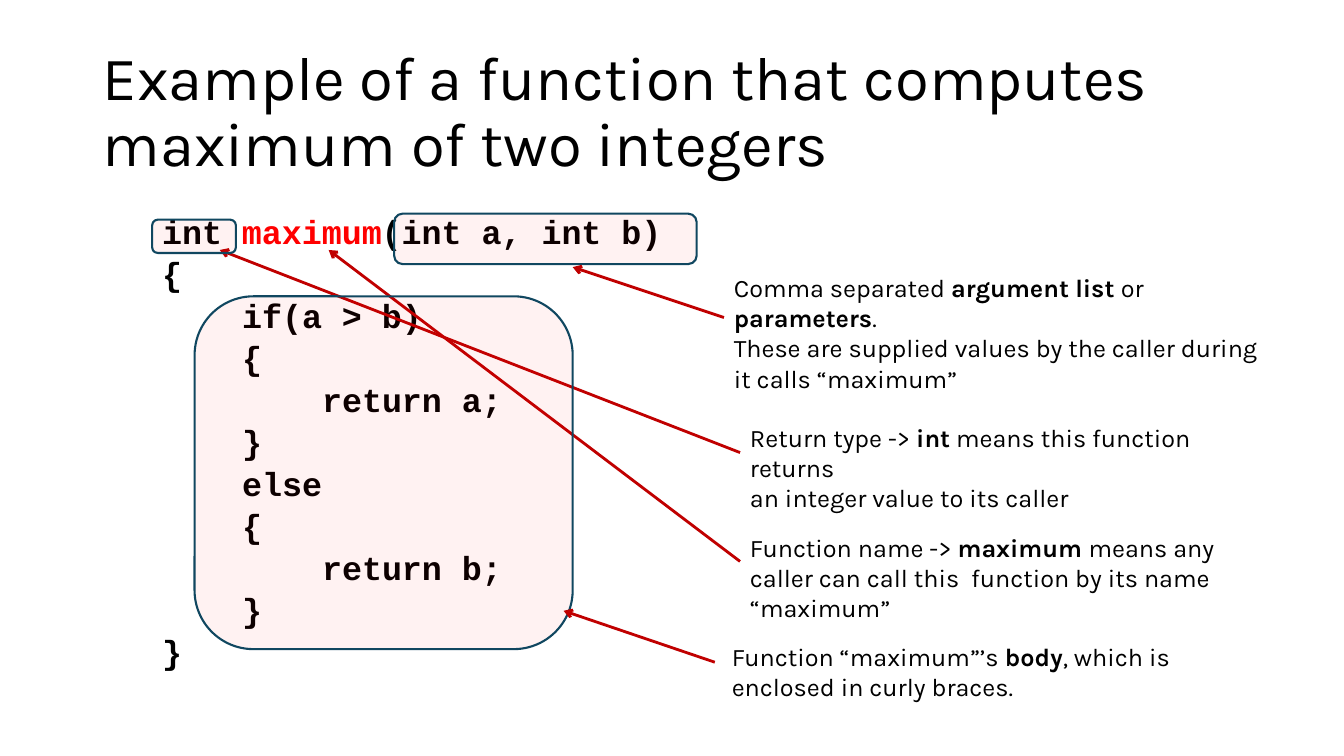
import pptx
import pptx.util
import pptx.dml.color
import pptx.enum.shapes
import pptx.enum.text
import pptx.oxml.ns
import lxml.etree

Inches = pptx.util.Inches
Pt = pptx.util.Pt
qn = pptx.oxml.ns.qn


def color(code):
    return pptx.dml.color.RGBColor.from_string(code)


class Board:
    """Draws text, code, frames and arrows on one slide in one style."""

    font, mono = "Karla", "Courier New"
    ink, name, edge, arrow = "000000", "FF0000", "104760", "C00000"
    code_size = 23.8
    step = 4 * 0.6 * code_size / 72

    def __init__(self, slide):
        self.slide = slide

    def frame(self, box):
        text = self.slide.shapes.add_textbox(*map(Inches, box)).text_frame
        text.word_wrap = True
        return text

    def lines(self, text, rows):
        for num, row in enumerate(rows):
            para = text.paragraphs[0] if num == 0 else text.add_paragraph()
            yield para, row

    def run(self, para, words, size, font, bold=False, ink=ink):
        run = para.add_run()
        run.text = words
        run.font.size = Pt(size)
        run.font.name = font
        run.font.bold = bold
        run.font.color.rgb = color(ink)

    def title(self, box, words):
        text = self.frame(box)
        text.vertical_anchor = pptx.enum.text.MSO_ANCHOR.MIDDLE
        para = text.paragraphs[0]
        para.line_spacing = 0.9
        self.run(para, words, 44, self.font)

    def code(self, box, rows):
        for para, (depth, runs) in self.lines(self.frame(box), rows):
            para.line_spacing = 0.7
            para.space_before = Pt(10)
            if depth:
                props = para._p.get_or_add_pPr()
                props.set("marL", str(Inches(depth * self.step)))
                props.set("indent", "0")
            for words, ink in runs:
                self.run(para, words, self.code_size, self.mono, True, ink)

    def note(self, box, rows):
        text = self.frame(box)
        text.auto_size = pptx.enum.text.MSO_AUTO_SIZE.SHAPE_TO_FIT_TEXT
        for para, runs in self.lines(text, rows):
            for words, bold in runs:
                self.run(para, words, 18, self.font, bold)

    def mark(self, box):
        kind = pptx.enum.shapes.MSO_SHAPE.ROUNDED_RECTANGLE
        shape = self.slide.shapes.add_shape(kind, *map(Inches, box))
        shape.shadow.inherit = False
        shape.fill.solid()
        shape.fill.fore_color.rgb = color(self.name)
        tint = shape._element.spPr.find(qn("a:solidFill"))[0]
        lxml.etree.SubElement(tint, qn("a:alpha")).set("val", "5000")
        shape.line.color.rgb = color(self.edge)
        shape.line.width = Pt(1.5)

    def point(self, start, end):
        kind = pptx.enum.shapes.MSO_CONNECTOR.STRAIGHT
        link = self.slide.shapes.add_connector(kind, *map(Inches, start + end))
        link.line.color.rgb = color(self.arrow)
        link.line.width = Pt(2)
        line = link.line._get_or_add_ln()
        lxml.etree.SubElement(line, qn("a:tailEnd")).set("type", "arrow")
        lxml.etree.SubElement(link._element.spPr, qn("a:effectLst"))


def main():
    deck = pptx.Presentation()
    deck.slide_width, deck.slide_height = Inches(13.33), Inches(7.5)
    board = Board(deck.slides.add_slide(deck.slide_layouts[6]))
    ink = board.ink

    board.title((0.92, 0.4, 11.5, 1.45),
                "Example of a function that computes maximum of two integers")

    head = [("int ", ink), ("maximum", board.name), ("(int a, int b)", ink)]
    body = [(0, "{"), (1, "if(a > b)"), (1, "{"), (2, "return a;"), (1, "}"),
            (1, "else"), (1, "{"), (2, "return b;"), (1, "}"), (0, "}")]
    board.code((1.51, 2.15, 9, 4.95),
               [(0, head)] + [(depth, [(words, ink)]) for depth, words in body])

    board.note((7.34, 4.14, 5.33, 0.71), [
        [("Return type -> ", False), ("int", True),
         (" means this function returns", False)],
        [("an integer value to its caller", False)]])
    board.point((7.34, 4.49), (2.18, 2.48))
    board.mark((1.51, 2.18, 0.83, 0.33))

    board.point((7.34, 5.57), (3.26, 2.48))
    board.note((7.34, 5.23, 5.33, 0.71), [
        [("Function name -> ", False), ("maximum ", True),
         ("means any caller can call this  function by its name “maximum”",
          False)]])

    board.mark((3.91, 2.12, 3, 0.5))
    board.point((7.18, 3.15), (5.68, 2.65))
    board.note((7.18, 2.65, 5.6, 1.01), [
        [("Comma separated ", False), ("argument list ", True),
         ("or ", False), ("parameters", True), (".", False)],
        [("These are supplied values by the caller during it calls “maximum”",
          False)]])

    board.mark((1.93, 2.94, 3.75, 3.5))
    board.point((7.09, 6.57), (5.59, 6.06))
    board.note((7.16, 6.31, 5.44, 0.71), [
        [("Function “maximum”’s ", False), ("body", True),
         (", which is enclosed in curly braces.", False)]])

    deck.save("out.pptx")


if __name__ == "__main__":
    main()
